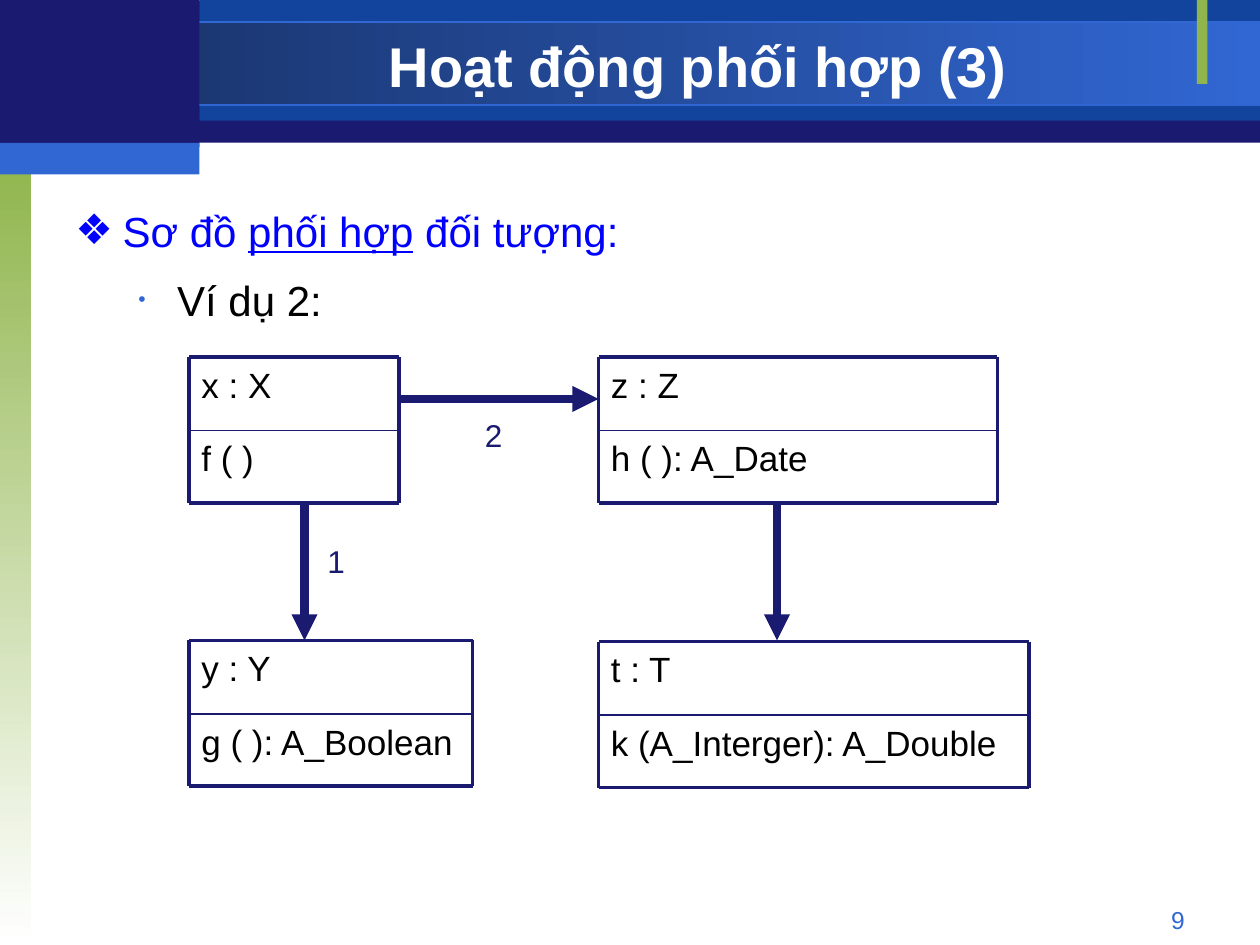
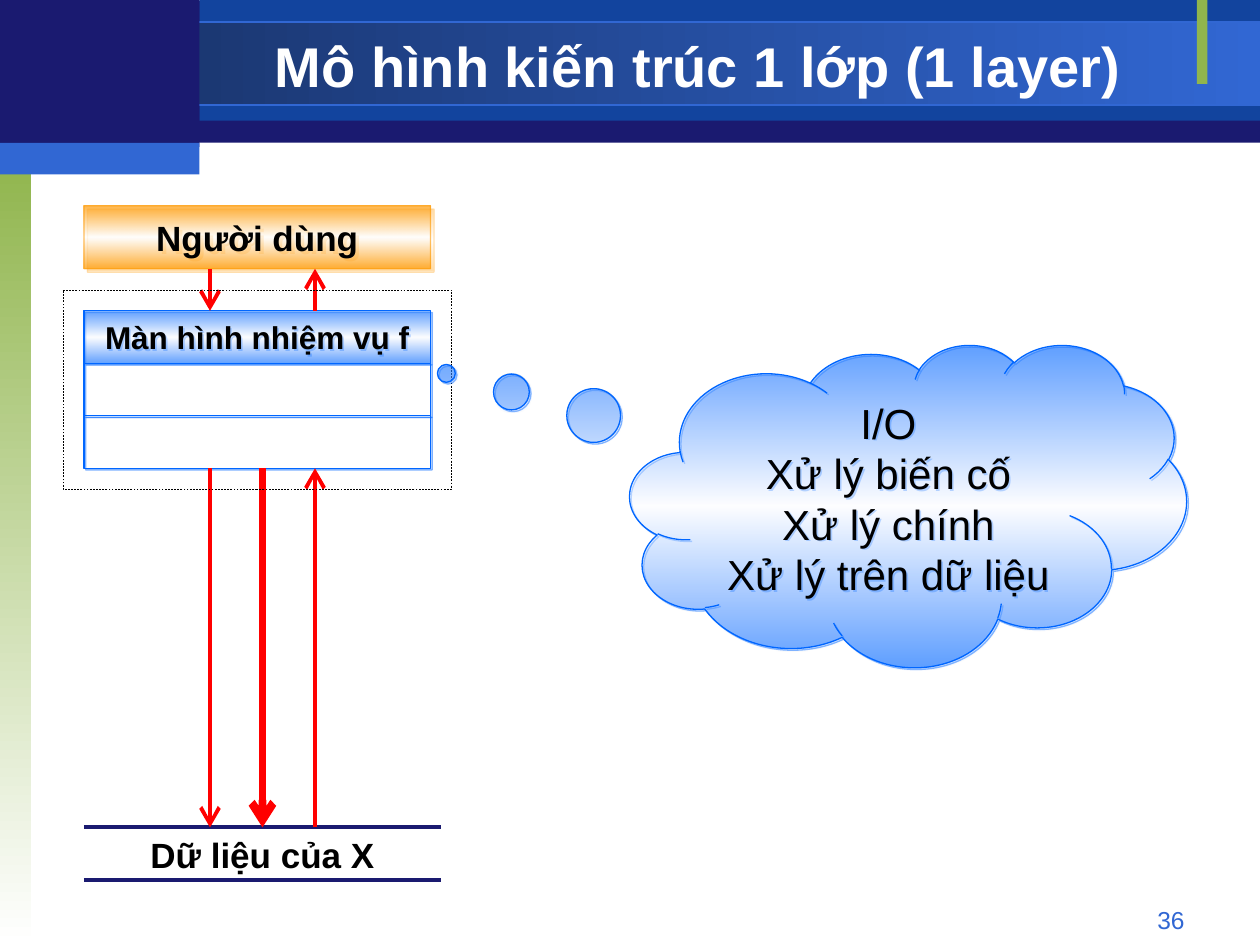
"""Build two lecture slides: an object collaboration diagram and a one-layer architecture."""
from dataclasses import dataclass

import lxml.etree
import pptx
import pptx.dml.color
import pptx.enum.dml
import pptx.enum.shapes
import pptx.enum.text
import pptx.oxml.ns
import pptx.util

PX = 7620
FONT = "Arial"
NAVY, DEEP_BLUE, BLUE, GREEN = "1A1A70", "12449E", "3167D3", "90B54D"
ORANGE, SKY, RED, LINK_BLUE = "FF9900", "0066FF", "FF0000", "0000FF"
BLACK, WHITE, DUSK = "000000", "FFFFFF", "172F61"
SHAPES = pptx.enum.shapes.MSO_SHAPE
ALIGN = pptx.enum.text.PP_ALIGN
ANCHOR = pptx.enum.text.MSO_ANCHOR
qn = pptx.oxml.ns.qn


@dataclass(frozen=True)
class Area:
    left: int
    top: int
    width: int
    height: int


@dataclass(frozen=True)
class Gradient:
    colors: tuple[str, ...]
    angle: int
    opacity: int = 100


@dataclass(frozen=True)
class Shadow:
    color: str
    distance: float


@dataclass(frozen=True)
class Outline:
    color: str
    width: float
    opacity: int = 100
    dashed: bool = False


@dataclass(frozen=True)
class TextStyle:
    size: int
    color: str = BLACK
    bold: bool = False
    align: ALIGN = ALIGN.LEFT
    anchor: ANCHOR = ANCHOR.TOP


@dataclass(frozen=True)
class Run:
    text: str
    underline: bool = False


@dataclass(frozen=True)
class Bullet:
    character: str
    color: str
    percent: int
    margin: int
    hanging: int


@dataclass(frozen=True)
class Band:
    area: Area
    fill: str | Gradient
    outline: Outline | None = None


@dataclass(frozen=True)
class ObjectBox:
    area: Area
    name: str
    operation: str


@dataclass(frozen=True)
class Line:
    start: tuple[int, int]
    end: tuple[int, int]
    color: str = NAVY
    width: float = 2.25
    head: str | None = None
    head_size: str = "med"


BANDS = (
    Band(Area(0, 1, 1200, 135), NAVY),
    Band(Area(190, 0, 1010, 115), DEEP_BLUE),
    Band(Area(0, 21, 1200, 79), Gradient((DUSK, BLUE), 0), Outline(BLUE, 0.75)),
    Band(Area(0, 150, 30, 750), Gradient((GREEN, WHITE), 90)),
    Band(Area(1140, 0, 10, 80), GREEN),
    Band(Area(0, 0, 190, 140), NAVY),
    Band(Area(0, 136, 190, 30), BLUE),
)
TITLE_STYLE = TextStyle(32, WHITE, True, ALIGN.CENTER, ANCHOR.MIDDLE)
PAGE_STYLE = TextStyle(14, BLUE, align=ALIGN.RIGHT)
CELL_STYLE = TextStyle(20)
STEP_STYLE = TextStyle(18, NAVY)
BODY_STYLE = TextStyle(24, LINK_BLUE)
EXAMPLE_STYLE = TextStyle(24)
CELL_HEIGHT = 70


def px(length: float) -> int:
    return round(length * PX)


def rgb(color: str) -> pptx.dml.color.RGBColor:
    return pptx.dml.color.RGBColor.from_string(color)


def place(area: Area) -> tuple[int, int, int, int]:
    return px(area.left), px(area.top), px(area.width), px(area.height)


def add_child(parent, tag: str, **attributes):
    return lxml.etree.SubElement(
        parent, qn(tag), {name: str(value) for name, value in attributes.items()})


def add_color(parent, color: str, opacity: int = 100) -> None:
    element = add_child(parent, "a:srgbClr", val=color)
    if opacity < 100:
        add_child(element, "a:alpha", val=opacity * 1000)


def paint_gradient(shape, gradient: Gradient) -> None:
    shape.fill.gradient()
    shape.fill.gradient_angle = (360 - gradient.angle) % 360
    stops = shape._element.spPr.find(".//" + qn("a:gsLst"))
    for stop in list(stops):
        stops.remove(stop)
    step = 100000 // (len(gradient.colors) - 1)
    for index, color in enumerate(gradient.colors):
        add_color(add_child(stops, "a:gs", pos=index * step), color, gradient.opacity)


def paint_outline(line, outline: Outline) -> None:
    line.color.rgb = rgb(outline.color)
    line.width = pptx.util.Pt(outline.width)
    if outline.dashed:
        line.dash_style = pptx.enum.dml.MSO_LINE.DASH
    if outline.opacity < 100:
        color = line._get_or_add_ln().find(".//" + qn("a:srgbClr"))
        add_child(color, "a:alpha", val=outline.opacity * 1000)


def cast_shadow(shape, shadow: Shadow) -> None:
    effects = shape._element.spPr.find(qn("a:effectLst"))
    outer = add_child(effects, "a:outerShdw", dist=pptx.util.Pt(shadow.distance),
                      dir=45 * 60000, algn="ctr", rotWithShape=0)
    add_color(outer, shadow.color, 50)


def add_figure(slide, area: Area, fill: str | Gradient | None = None,
               outline: Outline | None = None, shadow: Shadow | None = None,
               preset=SHAPES.RECTANGLE):
    shape = slide.shapes.add_shape(preset, *place(area))
    shape.shadow.inherit = False
    if isinstance(fill, Gradient):
        paint_gradient(shape, fill)
    elif fill:
        shape.fill.solid()
        shape.fill.fore_color.rgb = rgb(fill)
    else:
        shape.fill.background()
    if outline:
        paint_outline(shape.line, outline)
    else:
        shape.line.fill.background()
    if shadow:
        cast_shadow(shape, shadow)
    return shape


def add_runs(paragraph, runs: tuple[Run, ...], style: TextStyle) -> None:
    paragraph.alignment = style.align
    for item in runs:
        run = paragraph.add_run()
        run.text = item.text
        run.font.name = FONT
        run.font.size = pptx.util.Pt(style.size)
        run.font.bold = style.bold
        run.font.color.rgb = rgb(style.color)
        if item.underline:
            run.font.underline = True


def write(shape, style: TextStyle, *lines: str) -> None:
    frame = shape.text_frame
    frame.word_wrap = True
    frame.vertical_anchor = style.anchor
    for index, line in enumerate(lines):
        paragraph = frame.add_paragraph() if index else frame.paragraphs[0]
        add_runs(paragraph, (Run(line),), style)


def add_text(slide, area: Area, style: TextStyle, text: str) -> None:
    write(slide.shapes.add_textbox(*place(area)), style, text)


def add_bullet(paragraph, bullet: Bullet, style: TextStyle, *runs: Run) -> None:
    add_runs(paragraph, runs, style)
    paragraph.line_spacing = 1.2
    paragraph.space_before = pptx.util.Pt(5)
    properties = paragraph._p.get_or_add_pPr()
    properties.set("marL", str(px(bullet.margin)))
    properties.set("indent", str(px(-bullet.hanging)))
    add_color(add_child(properties, "a:buClr"), bullet.color)
    add_child(properties, "a:buSzPct", val=bullet.percent * 1000)
    add_child(properties, "a:buFont", typeface=FONT)
    add_child(properties, "a:buChar", char=bullet.character)


def add_line(slide, line: Line) -> None:
    connector = slide.shapes.add_connector(
        pptx.enum.shapes.MSO_CONNECTOR.STRAIGHT,
        *(px(value) for value in line.start + line.end))
    paint_outline(connector.line, Outline(line.color, line.width))
    if line.head:
        add_child(connector.line._get_or_add_ln(), "a:tailEnd", type=line.head,
                  w=line.head_size, len=line.head_size)
    add_child(connector._element.spPr, "a:effectLst")


def add_object_box(slide, box: ObjectBox) -> None:
    area = box.area
    right, bottom = area.left + area.width, area.top + area.height
    middle = area.top + CELL_HEIGHT
    for top, text in ((middle, box.operation), (area.top, box.name)):
        add_text(slide, Area(area.left, top, area.width, CELL_HEIGHT), CELL_STYLE, text)
    for y, width in ((area.top, 2.25), (middle, 1), (bottom, 2.25)):
        add_line(slide, Line((area.left, y), (right, y), width=width))
    for x in (area.left, right):
        add_line(slide, Line((x, area.top), (x, bottom)))


def add_base_slide(presentation, title: str, page: str):
    slide = presentation.slides.add_slide(presentation.slide_layouts[6])
    for band in BANDS:
        add_figure(slide, band.area, band.fill, band.outline)
    add_text(slide, Area(860, 856, 280, 32), PAGE_STYLE, page)
    add_text(slide, Area(190, 27, 950, 70), TITLE_STYLE, title)
    return slide


def build_collaboration(presentation) -> None:
    slide = add_base_slide(presentation, "Hoạt động phối hợp (3)", "9")
    frame = slide.shapes.add_textbox(*place(Area(60, 180, 1080, 660))).text_frame
    frame.word_wrap = True
    add_bullet(frame.paragraphs[0], Bullet("❖", LINK_BLUE, 100, 45, 45), BODY_STYLE,
               Run("Sơ đồ "), Run("phối hợp", True), Run(" đối tượng:"))
    example = frame.add_paragraph()
    example.level = 1
    add_bullet(example, Bullet("•", BLUE, 50, 97, 37), EXAMPLE_STYLE, Run("Ví dụ 2:"))
    for box in (
        ObjectBox(Area(180, 340, 200, 139), "x : X", "f ( )"),
        ObjectBox(Area(570, 340, 380, 139), "z : Z", "h ( ): A_Date"),
        ObjectBox(Area(180, 610, 270, 139), "y : Y", "g ( ): A_Boolean"),
        ObjectBox(Area(570, 611, 410, 139), "t : T", "k (A_Interger): A_Double"),
    ):
        add_object_box(slide, box)
    for start, end in (((380, 380), (570, 380)), ((290, 480), (290, 610)),
                       ((740, 480), (740, 610))):
        add_line(slide, Line(start, end, width=5, head="triangle"))
    add_text(slide, Area(300, 510, 40, 48), STEP_STYLE, "1")
    add_text(slide, Area(450, 390, 40, 48), STEP_STYLE, "2")


def build_one_layer(presentation) -> None:
    slide = add_base_slide(presentation, "Mô hình kiến trúc 1 lớp (1 layer)", "36")
    heading = TextStyle(20, BLACK, True, ALIGN.CENTER, ANCHOR.MIDDLE)
    screen_style = TextStyle(18, BLACK, True, ALIGN.CENTER, ANCHOR.MIDDLE)
    cloud_style = TextStyle(24, BLACK, False, ALIGN.CENTER, ANCHOR.MIDDLE)
    glass = Gradient((SKY, WHITE, SKY), 90, 50)
    edge, shade = Outline(SKY, 0.75), Shadow(SKY, 1.4)

    user = add_figure(slide, Area(80, 196, 330, 60), Gradient((ORANGE, WHITE, ORANGE), 90, 71),
                      Outline(ORANGE, 0.75, 60), Shadow(ORANGE, 2.8))
    write(user, heading, "Người dùng")
    for y in (788, 838):
        add_line(slide, Line((80, y), (420, y)))
    add_text(slide, Area(80, 788, 340, 52), heading, "Dữ liệu của X")
    for row, fill in enumerate((glass, None, None)):
        cell = add_figure(slide, Area(80, 296 + 50 * row, 330, 50), fill, edge, shade)
        if row == 0:
            write(cell, screen_style, "Màn hình nhiệm vụ f")
    for x, start, end in ((200, 256, 296), (300, 296, 256), (200, 446, 788), (300, 788, 446)):
        add_line(slide, Line((x, start), (x, end), RED, 2.25, "arrow", "lg"))
    add_line(slide, Line((250, 446), (250, 788), RED, 4.5, "arrow"))
    add_figure(slide, Area(60, 276, 370, 190), outline=Outline(BLACK, 0.25, dashed=True))
    cloud = add_figure(slide, Area(600, 328, 530, 307), glass, edge, shade, SHAPES.CLOUD_CALLOUT)
    cloud.adjustments[0] = -0.83
    cloud.adjustments[1] = -0.41
    write(cloud, cloud_style, "I/O", "Xử lý biến cố", "Xử lý chính", "Xử lý trên dữ liệu")


def main() -> None:
    presentation = pptx.Presentation()
    presentation.slide_width, presentation.slide_height = px(1200), px(900)
    build_collaboration(presentation)
    build_one_layer(presentation)
    presentation.save("out.pptx")


if __name__ == "__main__":
    main()
